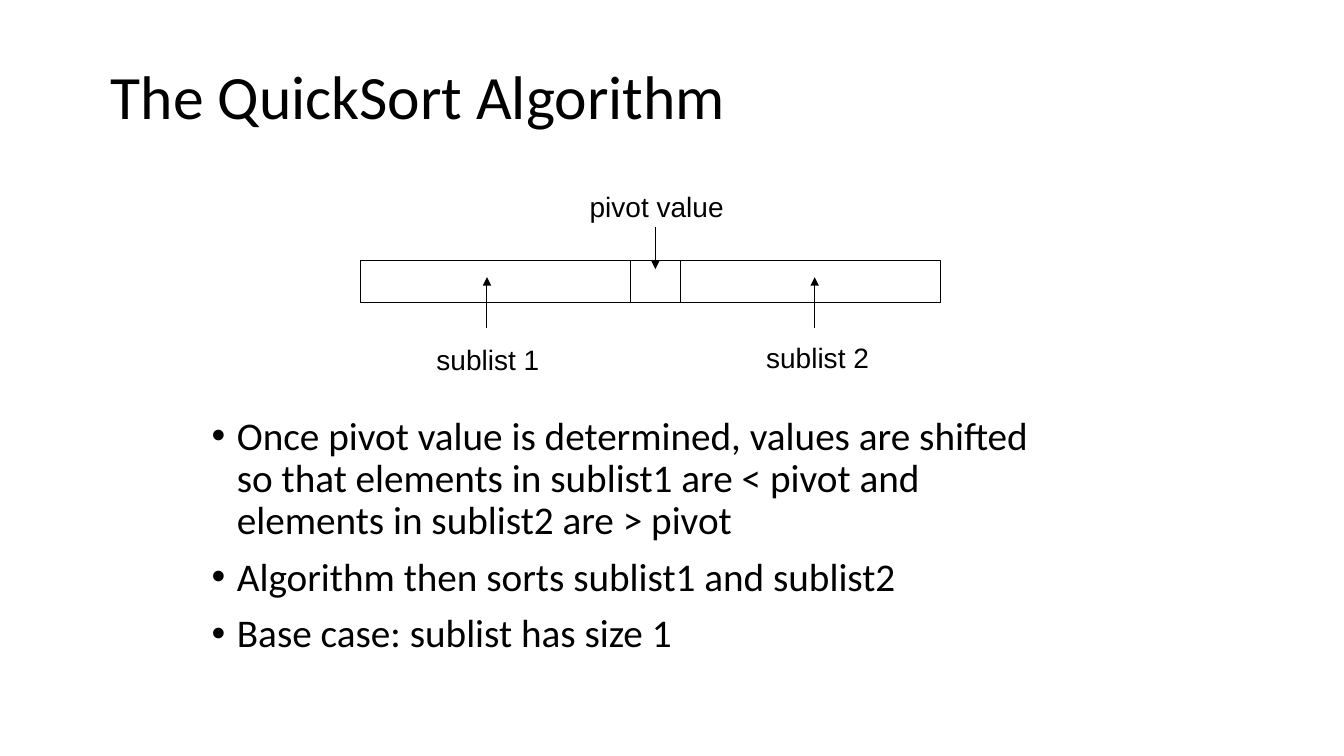
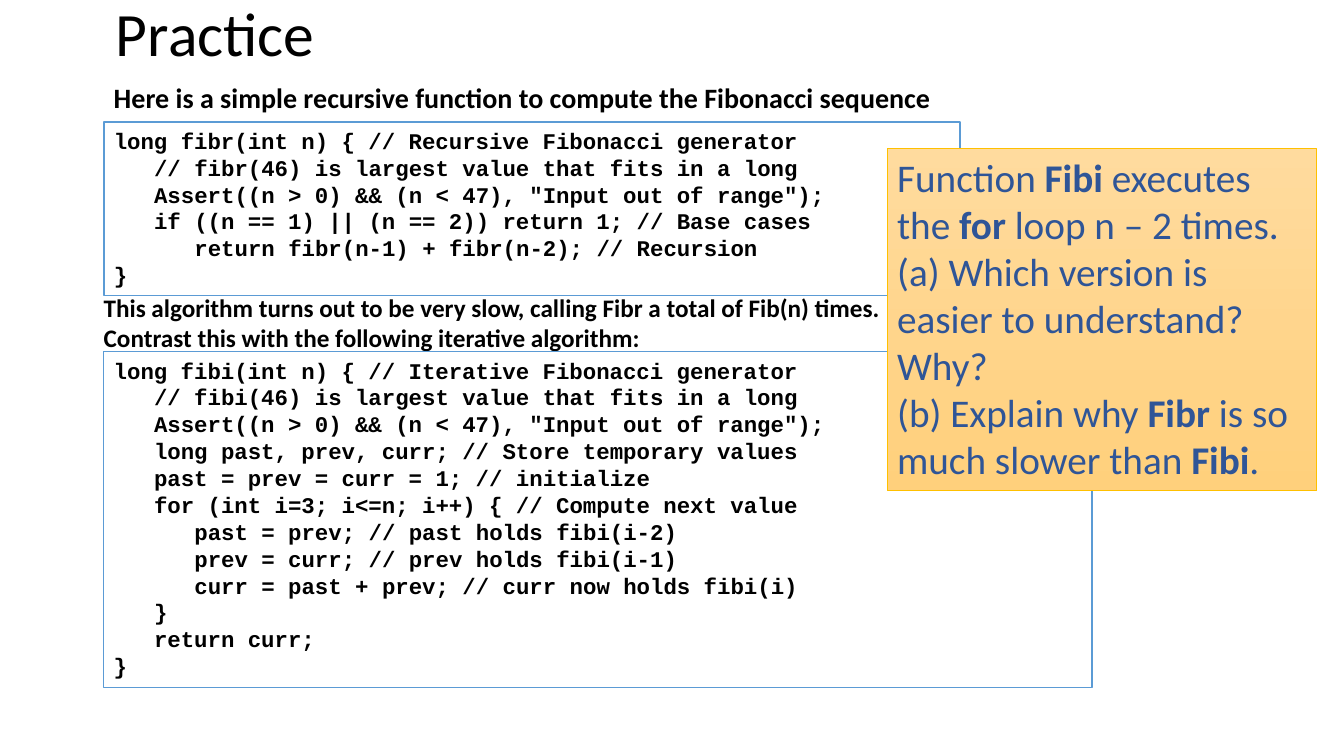
import pptx
import pptx.dml.color
import pptx.enum.dml
import pptx.enum.shapes
import pptx.enum.text
import pptx.oxml
import pptx.util
from pptx.util import Inches

COLORS = {
    "ink": "000000",
    "paper": "FFFFFF",
    "code_line": "5B9BD5",
    "callout_top": "FFDB9E",
    "callout_bottom": "FFD07C",
    "callout_line": "FFC000",
    "callout_text": "2F5597",
}
TITLE_AND_CONTENT, TITLE_ONLY = 1, 5
CODE_INDENT = 0.4

RECURSIVE_CODE = [
    (0, "long fibr(int n) { // Recursive Fibonacci generator"),
    (1, "// fibr(46) is largest value that fits in a long"),
    (1, 'Assert((n > 0) && (n < 47), "Input out of range");'),
    (1, "if ((n == 1) || (n == 2)) return 1; // Base cases"),
    (2, "return fibr(n-1) + fibr(n-2); // Recursion"),
    (0, "}"),
]
ITERATIVE_CODE = [
    (0, "long fibi(int n) { // Iterative Fibonacci generator"),
    (1, "// fibi(46) is largest value that fits in a long"),
    (1, 'Assert((n > 0) && (n < 47), "Input out of range");'),
    (1, "long past, prev, curr; // Store temporary values"),
    (1, "past = prev = curr = 1; // initialize"),
    (1, "for (int i=3; i<=n; i++) { // Compute next value"),
    (2, "past = prev; // past holds fibi(i-2)"),
    (2, "prev = curr; // prev holds fibi(i-1)"),
    (2, "curr = past + prev; // curr now holds fibi(i)"),
    (1, "}"),
    (1, "return curr;"),
    (0, "}"),
]


def rgb(name):
    return pptx.dml.color.RGBColor.from_string(COLORS[name])


def place(shape, left, top, width, height):
    shape.left, shape.top = Inches(left), Inches(top)
    shape.width, shape.height = Inches(width), Inches(height)


def write_text(shape, lines, size, font="Calibri", color="ink", bold=False, wrap=True,
               anchor="TOP", line_spacing=None, space_before=None, indents=None, hanging=0):
    frame = shape.text_frame
    frame.word_wrap = wrap
    frame.auto_size = pptx.enum.text.MSO_AUTO_SIZE.NONE
    frame.vertical_anchor = pptx.enum.text.MSO_ANCHOR[anchor]
    for index, line in enumerate(lines):
        paragraph = frame.add_paragraph() if index else frame.paragraphs[0]
        paragraph.alignment = pptx.enum.text.PP_ALIGN.LEFT
        paragraph.line_spacing = line_spacing
        if space_before is not None:
            paragraph.space_before = pptx.util.Pt(space_before)
        if indents:
            properties = paragraph._p.get_or_add_pPr()
            properties.set("marL", str(Inches(indents[index])))
            properties.set("indent", str(Inches(-hanging)))
        for position, part in enumerate(line.split("**")):
            if part:
                run = paragraph.add_run()
                run.text = part
                run.font.name = font
                run.font.size = pptx.util.Pt(size)
                run.font.bold = bold or position % 2 == 1
                run.font.color.rgb = rgb(color)


def add_slide(presentation, layout, title, *box):
    slide = presentation.slides.add_slide(presentation.slide_layouts[layout])
    place(slide.shapes.title, *box)
    write_text(slide.shapes.title, [title], 44, anchor="MIDDLE", line_spacing=0.9)
    return slide


def add_bullets(slide, lines, *box):
    body = slide.placeholders[1]
    place(body, *box)
    write_text(body, lines, 28, line_spacing=0.9, space_before=10,
               indents=[0.25] * len(lines), hanging=0.25)


def add_label(shapes, lines, *box, **text_format):
    label = shapes.add_textbox(*map(Inches, box))
    write_text(label, lines, wrap=False, **text_format)


def add_rectangle(shapes, *box, line="ink", weight=0.75, fill=None):
    rectangle = shapes.add_shape(pptx.enum.shapes.MSO_SHAPE.RECTANGLE, *map(Inches, box))
    rectangle.shadow.inherit = False
    rectangle.line.color.rgb = rgb(line)
    rectangle.line.width = pptx.util.Pt(weight)
    if fill:
        rectangle.fill.solid()
        rectangle.fill.fore_color.rgb = rgb(fill)
    else:
        rectangle.fill.background()
    return rectangle


def add_vertical_arrow(shapes, x, start, end):
    arrow = shapes.add_connector(pptx.enum.shapes.MSO_CONNECTOR.STRAIGHT,
                                 Inches(x), Inches(start), Inches(x), Inches(end))
    arrow.line.color.rgb = rgb("ink")
    arrow.line.width = pptx.util.Pt(0.75)
    namespace = pptx.oxml.ns.nsdecls("a")
    arrow.line._get_or_add_ln().append(
        pptx.oxml.parse_xml(f'<a:tailEnd {namespace} type="triangle"/>'))
    arrow._element.spPr.append(pptx.oxml.parse_xml(f"<a:effectLst {namespace}/>"))


def add_code(slide, code, *box):
    rectangle = add_rectangle(slide.shapes, *box, line="code_line", weight=1, fill="paper")
    write_text(rectangle, [text for _, text in code], 16, font="Courier New", bold=True,
               indents=[depth * CODE_INDENT for depth, _ in code])


def add_callout(slide, lines, *box):
    callout = add_rectangle(slide.shapes, *box, line="callout_line", weight=0.5)
    callout.fill.gradient()
    callout.fill.gradient_angle = 270
    for stop, color in zip(callout.fill.gradient_stops, ("callout_top", "callout_bottom")):
        stop.color.rgb = rgb(color)
    write_text(callout, lines, 28, color="callout_text")


def add_partition_diagram(slide):
    shapes = slide.shapes.add_group_shape().shapes
    for left, width in ((3.58, 5.75), (6.25, 0.5)):
        add_rectangle(shapes, left, 2.58, width, 0.42)
    for text, left, top, width in (("pivot value", 5.75, 1.83, 1.53),
                                   ("sublist 1", 4.23, 3.35, 1.22),
                                   ("sublist 2", 7.5, 3.33, 1.22)):
        add_label(shapes, [text], left, top, width, 0.43, size=20, font="Arial")
    for x, start, end in ((6.5, 2.25, 2.67), (8.08, 3.25, 2.75), (4.83, 3.25, 2.75)):
        add_vertical_arrow(shapes, x, start, end)


def build_quicksort(presentation):
    slide = add_slide(presentation, TITLE_AND_CONTENT, "The QuickSort Algorithm",
                      1, 0.26, 11.5, 1.45)
    add_bullets(slide, [
        "Once pivot value is determined, values are shifted so that elements in sublist1 "
        "are < pivot and elements in sublist2 are > pivot",
        "Algorithm then sorts sublist1 and sublist2",
        "Base case: sublist has size 1",
    ], 2, 4.08, 8.5, 2.75)
    add_partition_diagram(slide)


def build_practice(presentation):
    slide = add_slide(presentation, TITLE_ONLY, "Practice", 1.05, -0.1, 6.94, 0.93)
    add_label(slide.shapes,
              ["Here is a simple recursive function to compute the Fibonacci sequence"],
              1.03, 0.75, 8.37, 0.44, size=20, bold=True)
    add_code(slide, RECURSIVE_CODE, 1.03, 1.21, 8.49, 1.72)
    add_label(slide.shapes, [
        "This algorithm turns out to be very slow, calling Fibr a total of Fib(n) times.",
        "Contrast this with the following iterative algorithm:",
    ], 0.93, 2.85, 7.97, 0.71, size=18, bold=True)
    add_code(slide, ITERATIVE_CODE, 1.03, 3.49, 9.8, 3.33)
    add_callout(slide, [
        "Function **Fibi **executes the **for **loop n – 2 times.",
        "(a) Which version is easier to understand? Why?",
        "(b) Explain why **Fibr **is so much slower than **Fibi**.",
    ], 8.8, 1.47, 4.26, 3.4)


def main():
    presentation = pptx.Presentation()
    presentation.slide_width = Inches(13.33)
    presentation.slide_height = Inches(7.5)
    build_quicksort(presentation)
    build_practice(presentation)
    presentation.save("out.pptx")


if __name__ == "__main__":
    main()
